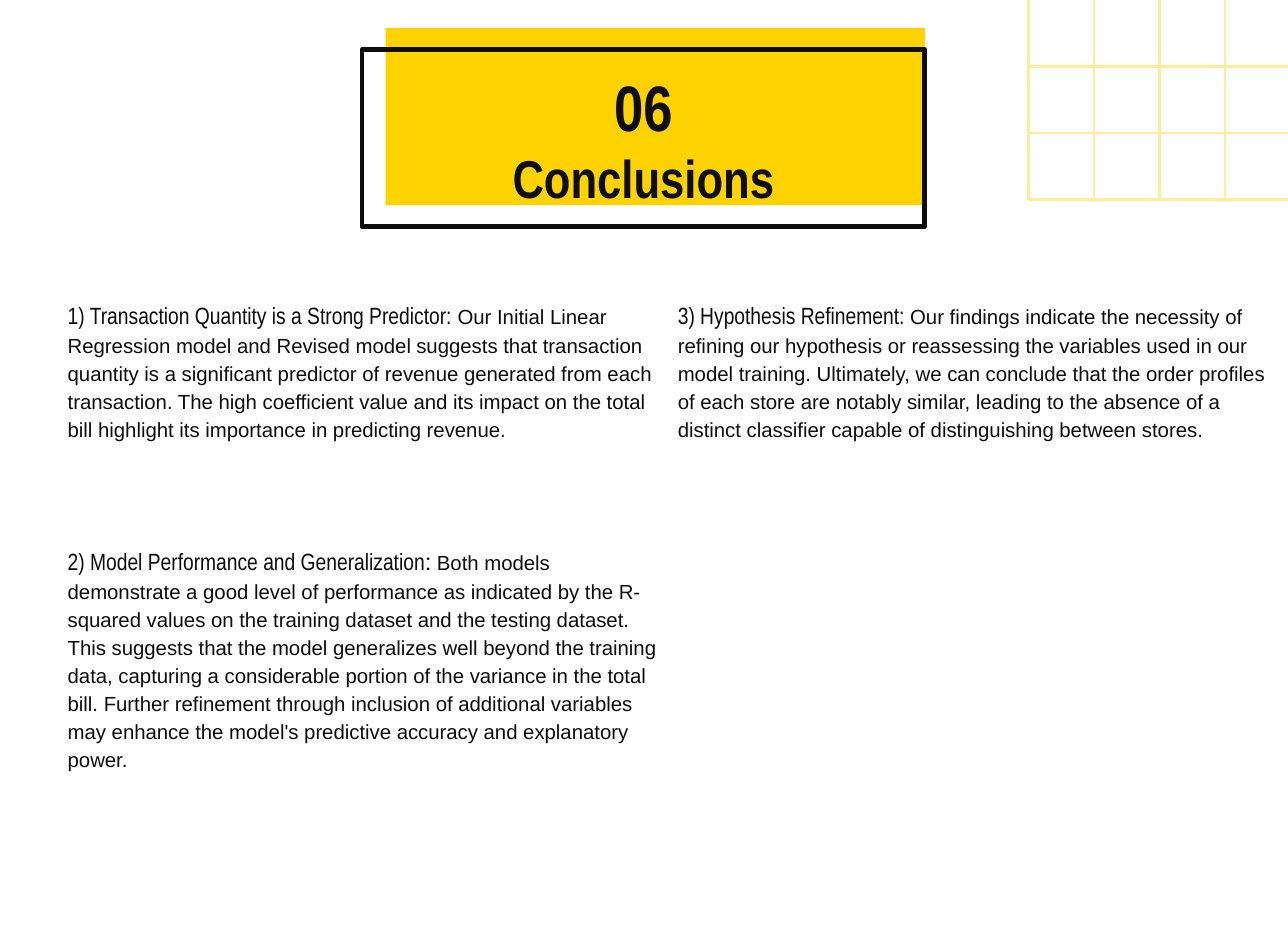
from dataclasses import dataclass

from lxml import etree
from pptx import Presentation
from pptx import util as u
from pptx.dml.color import RGBColor
from pptx.enum import shapes, text
from pptx.oxml.ns import qn

COLOURS = {"ink": "0E0E0E", "body": "0D0D0D", "yellow": "FFD302", "grid": "FFED99"}
SLIDE_W, SLIDE_H = 822.24, 595.44
INSET = 9.36
LEFT_X, RIGHT_X = 33.84, 423.36
TOP_Y, LOWER_Y = 180, 336.96
FINDING_W, FINDING_H = 398.88, 127.44


@dataclass(frozen=True)
class Run:
    words: str
    size: float
    font: str = "Arial"
    colour: str = "body"
    bold: bool = False


@dataclass(frozen=True)
class Finding:
    placeholder: int
    left: float
    top: float
    runs: tuple[Run, ...]


HEADING = (
    Run("06", 41, "Arial Narrow", "ink", True),
    Run("Conclusions", 34, "Arial Narrow", "ink", True),
)

FINDINGS = (
    Finding(1, LEFT_X, TOP_Y, (
        Run("1) Transaction Quantity is a Strong Predictor: ", 15, "Arial Narrow"),
        Run("Our Initial Linear Regression model and Revised model ", 13, colour="ink"),
        Run("suggests that transaction quantity is a significant predictor of revenue "
            "generated from each transaction. The high coefficient value and its impact "
            "on the total bill highlight its importance in predicting revenue.", 13),
    )),
    Finding(2, LEFT_X, LOWER_Y, (
        Run("2) Model Performance and Generalization", 15, "Arial Narrow"),
        Run(": ", 15, "Roboto"),
        Run("Both models demonstrate a good level of performance as indicated by the "
            "R-squared values on the training dataset and the testing dataset. This "
            "suggests that the model generalizes well beyond the training data, capturing "
            "a considerable portion of the variance in the total bill. Further refinement "
            "through inclusion of additional variables may enhance the model's predictive "
            "accuracy and explanatory power.", 13),
    )),
    Finding(3, RIGHT_X, TOP_Y, (
        Run("3) Hypothesis Refinement: ", 15, "Arial Narrow"),
        Run("Our findings indicate the necessity of refining our hypothesis or reassessing "
            "the variables used in our model training. Ultimately, we can conclude that the "
            "order profiles of each store are notably similar, leading to the absence of a "
            "distinct classifier capable of distinguishing between stores.", 13, colour="ink"),
    )),
)


def rgb(name: str) -> RGBColor:
    return RGBColor.from_string(COLOURS[name])


def place(shape, left: float, top: float, width: float, height: float) -> None:
    shape.left, shape.top = u.Pt(left), u.Pt(top)
    shape.width, shape.height = u.Pt(width), u.Pt(height)


def set_frame(frame, anchor) -> None:
    frame.word_wrap = True
    frame.auto_size = text.MSO_AUTO_SIZE.NONE
    frame.vertical_anchor = anchor
    frame.margin_left = frame.margin_right = u.Pt(INSET)
    frame.margin_top = frame.margin_bottom = u.Pt(INSET)


def set_paragraph(paragraph, align, spacing: float) -> None:
    paragraph.alignment = align
    paragraph.line_spacing = spacing
    paragraph.space_before = paragraph.space_after = u.Pt(0)


def add_run(paragraph, item: Run) -> None:
    run = paragraph.add_run()
    run.text = item.words
    run.font.size = u.Pt(item.size)
    run.font.name = item.font
    run.font.bold = item.bold
    run.font.color.rgb = rgb(item.colour)


def draw_grid_line(slide, x1: float, y1: float, x2: float, y2: float) -> None:
    line = slide.shapes.add_connector(
        shapes.MSO_CONNECTOR.STRAIGHT, u.Pt(x1), u.Pt(y1), u.Pt(x2), u.Pt(y2))
    line.line.color.rgb = rgb("grid")
    line.line.width = u.Pt(1.5)
    etree.SubElement(line._element.spPr, qn("a:effectLst"))


def draw_grid(slide) -> None:
    left, column, row = 656.64, 41.76, 42.48
    for i in range(4):
        draw_grid_line(slide, left + i * column, 0, left + i * column, 3 * row)
    for i in range(1, 4):
        draw_grid_line(slide, left, i * row, SLIDE_W, i * row)


def draw_heading(slide) -> None:
    heading = slide.shapes.title
    place(heading, 231.12, 31.68, 359.28, 113.04)
    heading.line.color.rgb = rgb("ink")
    heading.line.width = u.Pt(3)
    frame = heading.text_frame
    set_frame(frame, text.MSO_ANCHOR.MIDDLE)
    for i, item in enumerate(HEADING):
        paragraph = frame.add_paragraph() if i else frame.paragraphs[0]
        set_paragraph(paragraph, text.PP_ALIGN.CENTER, 1.0)
        add_run(paragraph, item)

    # Yellow panel, behind the framed heading
    panel = slide.shapes.add_shape(
        shapes.MSO_SHAPE.RECTANGLE, u.Pt(246.24), u.Pt(18), u.Pt(344.16), u.Pt(113.04))
    panel.shadow.inherit = False
    panel.fill.solid()
    panel.fill.fore_color.rgb = rgb("yellow")
    panel.line.fill.background()
    heading._element.addprevious(panel._element)


def draw_finding(slide, finding: Finding) -> None:
    body = slide.placeholders[finding.placeholder]
    place(body, finding.left, finding.top, FINDING_W, FINDING_H)
    set_frame(body.text_frame, text.MSO_ANCHOR.TOP)
    paragraph = body.text_frame.paragraphs[0]
    set_paragraph(paragraph, text.PP_ALIGN.LEFT, 1.15)
    # No bullet or hanging indent
    properties = paragraph._p.get_or_add_pPr()
    properties.set("marL", "0")
    properties.set("indent", "0")
    etree.SubElement(properties, qn("a:buNone"))
    for item in finding.runs:
        add_run(paragraph, item)


def main() -> None:
    deck = Presentation()
    deck.slide_width, deck.slide_height = u.Pt(SLIDE_W), u.Pt(SLIDE_H)
    # Comparison layout: a title and four bodies, of which three are used
    slide = deck.slides.add_slide(deck.slide_layouts[4])
    spare = slide.placeholders[4]._element
    spare.getparent().remove(spare)

    draw_grid(slide)
    draw_heading(slide)
    for finding in FINDINGS:
        draw_finding(slide, finding)
    deck.save("out.pptx")


if __name__ == "__main__":
    main()
